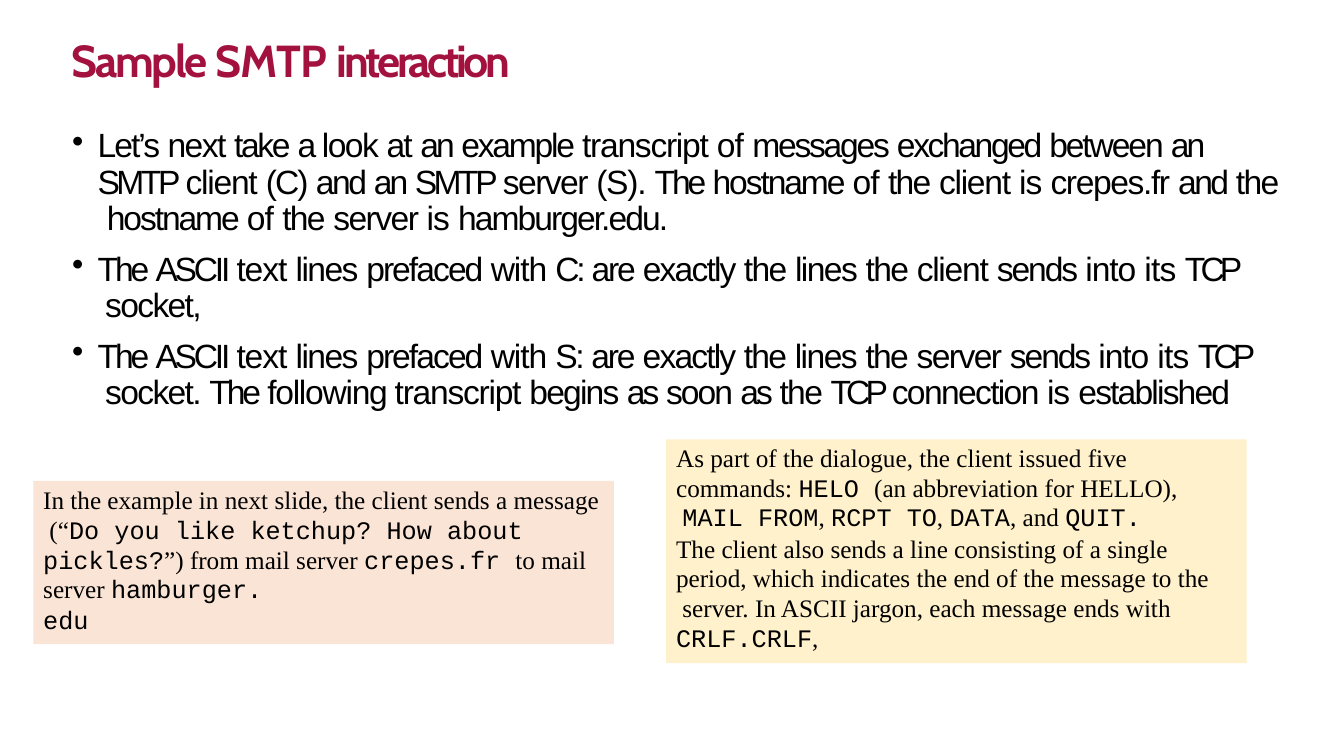
"""Build the slide that introduces a sample SMTP interaction."""
from itertools import groupby

from lxml.etree import SubElement
from pptx import Presentation
from pptx.dml.color import RGBColor
from pptx.enum.shapes import MSO_SHAPE
from pptx.enum.text import MSO_ANCHOR, MSO_AUTO_SIZE, PP_ALIGN
from pptx.oxml.ns import qn
from pptx.util import Cm, Pt

COLORS = {"title": "A3123E", "text": "000000", "peach": "FAE4D5", "cream": "FFF1CC"}

TITLE = [("Sample ", -1.6), ("SMTP ", -0.5), ("interaction", -2.4)]

BULLETS = [
    (["Let’s next take a look at an example transcript of messages exchanged between an",
      "SMTP client (C) and an SMTP server (S). The hostname of the client is crepes.fr and the",
      " hostname of the server is hamburger.edu."], 0.9, 3.9),
    (["The ASCII text lines prefaced with C: are exactly the lines the client sends into its TCP",
      " socket,"], Pt(25.9), 10.3),
    (["The ASCII text lines prefaced with S: are exactly the lines the server sends into its TCP",
      " socket. The following transcript begins as soon as the TCP connection is established"],
     Pt(25.9), 10.2),
]

WORDS_BY_SPACING = {
    -3.5: "TCP",
    -2.6: "a",
    -2.5: "SMTP",
    -2.4: "C:",
    -2.3: "ASCII",
    -2.2: "The",
    -2.0: "an as",
    -1.8: "and S:",
    -1.7: "take exchanged",
    -1.6: "example messages are",
    -1.5: "between hostname sends",
    -1.4: "Let’s (C) hamburger.edu. prefaced soon",
    -1.3: "at exactly begins established",
    -1.1: "next look server lines",
    -1.0: "crepes.fr",
    -0.9: "client (S). following transcript",
    -0.8: "is text with into",
    -0.7: "of",
    -0.6: "its",
}
DEFAULT_SPACING = -1.2
SPACING = {word: size for size, words in WORDS_BY_SPACING.items() for word in words.split()}

NOTES = [
    ("peach", (0.84, 12.12, 14.63, 4.11), [
        (["In the example in next slide, the client sends a message",
          " (“`Do you like ketchup? How about",
          "pickles?`”) from mail server `crepes.fr `to mail",
          "server `hamburger.`"], 0.98, 3.5),
        (["`edu`"], Pt(21.5), 0),
    ]),
    ("cream", (16.79, 11.07, 14.63, 5.64), [
        (["As part of the dialogue, the client issued five",
          "commands: `HELO `(an abbreviation for HELLO),",
          " `MAIL FROM`, `RCPT TO`, `DATA`, and `QUIT.`"], 0.97, 3.8),
        (["The client also sends a line consisting of a single",
          "period, which indicates the end of the message to the",
          " server. In ASCII jargon, each message ends with",
          "`CRLF.CRLF`,"], 0.98, 1.6),
    ]),
]


def set_frame(frame, top, left=0, wrap=True):
    frame.margin_left, frame.margin_top = Cm(left), Cm(top)
    frame.margin_right = frame.margin_bottom = 0
    frame.word_wrap = wrap
    frame.auto_size = MSO_AUTO_SIZE.NONE
    frame.vertical_anchor = MSO_ANCHOR.TOP


def set_para(para, font, size, color, before, line_spacing=None):
    para.alignment = PP_ALIGN.LEFT
    para.space_before = Pt(before)
    para.line_spacing = line_spacing
    para.font.name, para.font.size = font, Pt(size)
    para.font.color.rgb = RGBColor.from_string(COLORS[color])


def add_paras(frame, count):
    return [frame.paragraphs[0]] + [frame.add_paragraph() for _ in range(count - 1)]


def add_span(para, text, spacing=0):
    span = para.add_run()
    span.text = text
    if spacing:
        span.font._element.set("spc", str(round(spacing * 100)))
    return span


def add_bullet(para):
    props = para._p.get_or_add_pPr()
    props.set("marL", str(Cm(0.66)))
    props.set("indent", str(-Cm(0.64)))
    mark = SubElement(props, qn("a:buChar"))
    mark.set("char", "•")
    defaults = props.find(qn("a:defRPr"))
    defaults.addprevious(mark)


def add_title(page):
    title = page.shapes.title
    title.left, title.top, title.width, title.height = Cm(1.8), Cm(0.79), Cm(11.73), Cm(1.42)
    set_frame(title.text_frame, 0.03, wrap=False)
    para = title.text_frame.paragraphs[0]
    set_para(para, "Cabin", 32, "title", 1)
    para.font.bold = True
    for text, spacing in TITLE:
        add_span(para, text, spacing)


def add_bullets(page):
    box = page.shapes.add_textbox(Cm(1.8), Cm(3.12), Cm(30.56), Cm(7.29))
    set_frame(box.text_frame, 0.13)
    paras = add_paras(box.text_frame, len(BULLETS))
    for para, (lines, line_spacing, before) in zip(paras, BULLETS):
        set_para(para, "Arial", 24, "text", before, line_spacing)
        add_bullet(para)
        for index, line in enumerate(lines):
            if index:
                para.add_line_break()
            *words, last = line.split(" ")
            pieces = [word + " " for word in words] + [last]
            for spacing, group in groupby(
                    pieces, lambda piece: SPACING.get(piece.strip(), DEFAULT_SPACING)):
                add_span(para, "".join(group), spacing)


def add_note(page, color, place, content):
    box = page.shapes.add_shape(MSO_SHAPE.RECTANGLE, *map(Cm, place))
    box.shadow.inherit = False
    box.fill.solid()
    box.fill.fore_color.rgb = RGBColor.from_string(COLORS[color])
    box.line.fill.background()
    set_frame(box.text_frame, 0.13, left=0.25)
    paras = add_paras(box.text_frame, len(content))
    for para, (lines, line_spacing, before) in zip(paras, content):
        set_para(para, "Times New Roman", 18, "text", before, line_spacing)
        is_code = False
        for index, line in enumerate(lines):
            if index:
                para.add_line_break()
            for part, text in enumerate(line.split("`")):
                if part:
                    is_code = not is_code
                if text:
                    span = add_span(para, text)
                    if is_code:
                        span.font.name = "Courier New"


def main():
    deck = Presentation()
    deck.slide_width, deck.slide_height = Cm(33.87), Cm(19.05)
    page = deck.slides.add_slide(deck.slide_layouts[5])
    add_title(page)
    add_bullets(page)
    for color, place, content in NOTES:
        add_note(page, color, place, content)
    deck.save("out.pptx")


if __name__ == "__main__":
    main()
